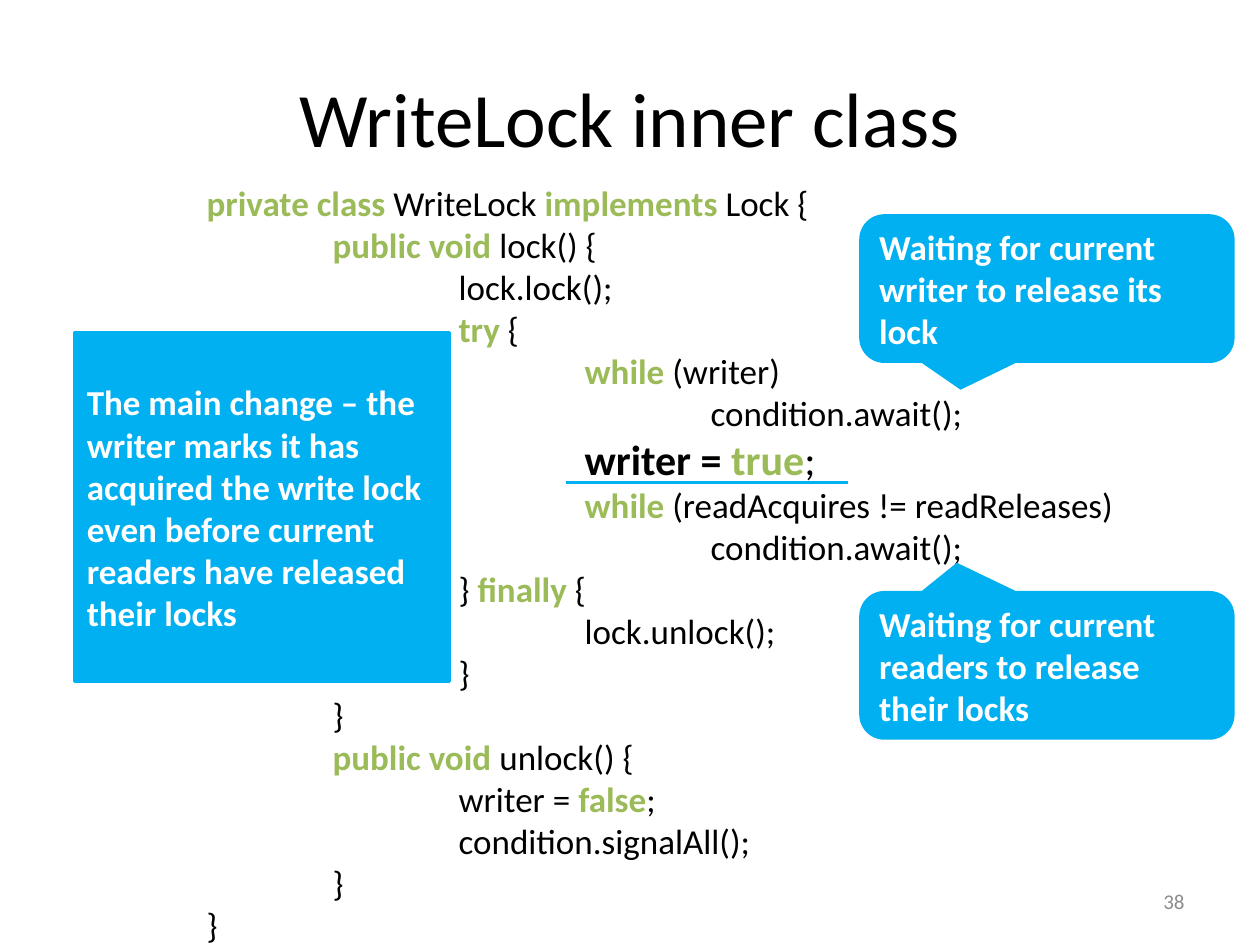
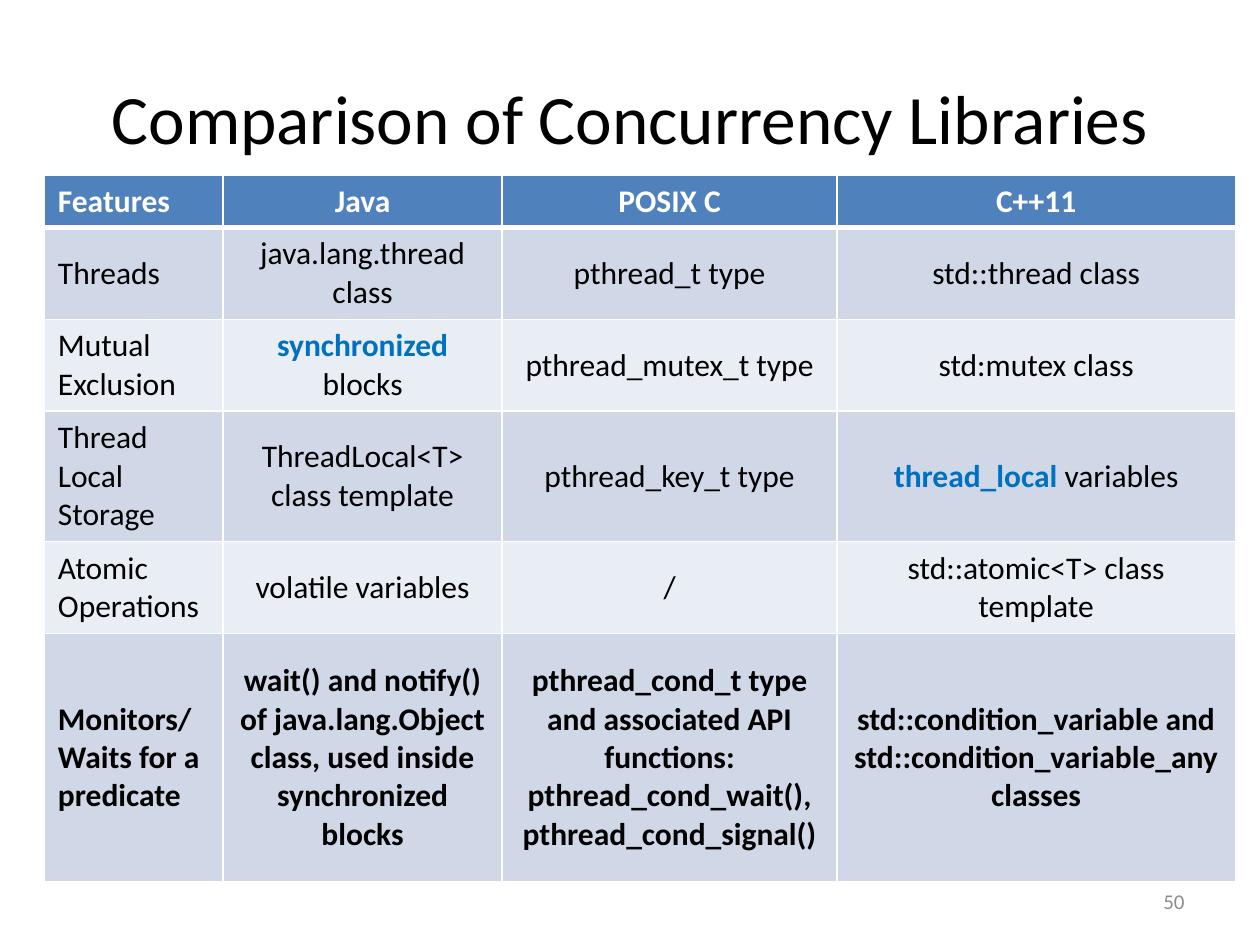
import pptx
import pptx.util
import pptx.dml.color
import pptx.enum.shapes
import pptx.enum.text
import pptx.oxml
import pptx.oxml.ns

Pt = pptx.util.Pt
RGBColor = pptx.dml.color.RGBColor
SHAPE = pptx.enum.shapes.MSO_SHAPE
ALIGN = pptx.enum.text.PP_ALIGN
MIDDLE = pptx.enum.text.MSO_ANCHOR.MIDDLE

FONT = "Calibri"
BLACK = RGBColor(0x00, 0x00, 0x00)
WHITE = RGBColor(0xFF, 0xFF, 0xFF)
GREY = RGBColor(0x8C, 0x8C, 0x8C)
KEYWORD_GREEN = RGBColor(0x9B, 0xBB, 0x59)
KEYWORD_BLUE = RGBColor(0x00, 0x70, 0xC0)
CALLOUT_BLUE = RGBColor(0x00, 0xB0, 0xF0)
HEADER_BLUE = RGBColor(0x4F, 0x81, 0xBD)
BAND_DARK = RGBColor(0xD0, 0xD8, 0xE8)
BAND_LIGHT = RGBColor(0xE9, 0xED, 0xF4)


def write(paragraph, marked, size, color, bold=False, keyword_color=None):
    for position, piece in enumerate(marked.split("*")):
        if piece:
            is_keyword = position % 2 == 1
            run = paragraph.add_run()
            run.text = piece
            run.font.name = FONT
            run.font.size = Pt(size)
            run.font.bold = bold or is_keyword
            run.font.color.rgb = keyword_color if is_keyword else color


def add_titled_slide(title, title_size, number):
    slide = deck.slides.add_slide(deck.slide_layouts[5])
    heading = slide.shapes.title
    heading.left, heading.top, heading.width, heading.height = Pt(36), Pt(21.6), Pt(648), Pt(90)
    heading.text_frame.vertical_anchor = MIDDLE
    heading.text_frame.paragraphs[0].alignment = ALIGN.CENTER
    write(heading.text_frame.paragraphs[0], title, title_size, BLACK)
    page = slide.shapes.add_textbox(Pt(516), Pt(500.5), Pt(168), Pt(28.75)).text_frame
    page.word_wrap = True
    page.vertical_anchor = MIDDLE
    page.paragraphs[0].alignment = ALIGN.RIGHT
    write(page.paragraphs[0], number, 12, GREY)
    return slide


deck = pptx.Presentation()
deck.slide_width = Pt(720)
deck.slide_height = Pt(540)

lock_slide = add_titled_slide("WriteLock inner class", 44, "38")

code_lines = [
    (0, "*private class *WriteLock *implements* Lock {"),
    (1, "*public void* lock() {"),
    (2, "lock.lock();"),
    (2, "*try* {"),
    (3, "*while *(writer)"),
    (4, "condition.await();"),
    (3, "writer = *true*;"),
    (3, "*while* (readAcquires != readReleases)"),
    (4, "condition.await();"),
    (2, "} *finally* {"),
    (3, "lock.unlock();"),
    (2, "}"),
    (1, "}"),
    (1, "*public void* unlock() {"),
    (2, "writer = *false*;"),
    (2, "condition.signalAll();"),
    (1, "}"),
    (0, "}"),
]
MAIN_CHANGE = 6
code = lock_slide.shapes.add_textbox(Pt(111), Pt(100), Pt(595.5), Pt(448.5)).text_frame
code.word_wrap = True
for row, (depth, line) in enumerate(code_lines):
    paragraph = code.paragraphs[0] if row == 0 else code.add_paragraph()
    paragraph._p.get_or_add_pPr().set("marL", str(Pt(72 * depth)))
    write(paragraph, line, 24 if row == MAIN_CHANGE else 20, BLACK, keyword_color=KEYWORD_GREEN)
code.paragraphs[MAIN_CHANGE].runs[0].font.bold = True

callouts = [
    (SHAPE.ROUNDED_RECTANGULAR_CALLOUT, 491, 122.4, 85, (-0.23, 0.68, 0.17),
     "Waiting for current writer to release its lock"),
    (SHAPE.ROUNDED_RECTANGULAR_CALLOUT, 491, 337.7, 85, (-0.24, -0.69, 0.17),
     "Waiting for current readers to release their locks"),
    (SHAPE.LINE_CALLOUT_1, 42.5, 190, 199.5, (0.43, 2.06, 0.43, 1.31),
     "The main change – the writer marks it has acquired the write lock "
     "even before current readers have released their locks"),
]
for outline, left, top, height, adjustments, remark in callouts:
    callout = lock_slide.shapes.add_shape(outline, Pt(left), Pt(top), Pt(214.5), Pt(height))
    for index, value in enumerate(adjustments):
        callout.adjustments[index] = value
    callout.shadow.inherit = False
    callout.fill.solid()
    callout.fill.fore_color.rgb = CALLOUT_BLUE
    if outline == SHAPE.LINE_CALLOUT_1:
        callout.line.color.rgb = CALLOUT_BLUE
        callout.line.width = Pt(2)
    else:
        callout.line.fill.background()
    callout.text_frame.word_wrap = True
    callout.text_frame.vertical_anchor = MIDDLE
    callout.text_frame.paragraphs[0].alignment = ALIGN.LEFT
    write(callout.text_frame.paragraphs[0], remark, 20, WHITE, bold=True)

library_slide = add_titled_slide("Comparison of Concurrency Libraries", 39.6, "50")

features = [
    ("Features", "Java", "POSIX C", "C++11"),
    ("Threads", "java.lang.thread class", "pthread_t type", "std::thread class"),
    ("Mutual Exclusion", "*synchronized *blocks", "pthread_mutex_t type", "std:mutex class"),
    ("Thread Local Storage", "ThreadLocal<T> class template", "pthread_key_t type",
     "*thread_local *variables"),
    ("Atomic Operations", "volatile variables", "/", "std::atomic<T> class template"),
    ("Monitors/Waits for a predicate",
     "wait() and notify() of java.lang.Object class, used inside synchronized blocks",
     "pthread_cond_t type and associated API functions: pthread_cond_wait(), pthread_cond_signal()",
     "std::condition_variable and std::condition_variable_any classes"),
]
column_widths = [102, 159.4, 191.5, 227.5]
row_heights = [30, 52.5, 52.5, 74.5, 52.5, 142]
last_row = len(features) - 1
comparison = library_slide.shapes.add_table(
    len(row_heights), len(column_widths), Pt(25.5), Pt(100),
    Pt(sum(column_widths)), Pt(sum(row_heights))).table
for column, width in zip(comparison.columns, column_widths):
    column.width = Pt(width)
for row, (height, entries) in enumerate(zip(row_heights, features)):
    comparison.rows[row].height = Pt(height)
    for column, entry in enumerate(entries):
        cell = comparison.cell(row, column)
        cell.vertical_anchor = MIDDLE
        cell.margin_left = cell.margin_right = Pt(7.6)
        cell.margin_top = cell.margin_bottom = Pt(3.6)
        cell.fill.solid()
        cell.fill.fore_color.rgb = HEADER_BLUE if row == 0 else (BAND_LIGHT, BAND_DARK)[row % 2]
        paragraph = cell.text_frame.paragraphs[0]
        paragraph.alignment = ALIGN.LEFT if column == 0 else ALIGN.CENTER
        write(paragraph, entry, 18, WHITE if row == 0 else BLACK,
              bold=row in (0, last_row), keyword_color=KEYWORD_BLUE)
        edge_widths = {"lnL": 1, "lnR": 1, "lnT": 3 if row == 1 else 1, "lnB": 3 if row == 0 else 1}
        for order, (edge, width) in enumerate(edge_widths.items()):
            border = pptx.oxml.parse_xml(
                f'<a:{edge} {pptx.oxml.ns.nsdecls("a")} w="{Pt(width)}">'
                f'<a:solidFill><a:srgbClr val="{WHITE}"/></a:solidFill></a:{edge}>')
            cell._tc.get_or_add_tcPr().insert(order, border)

deck.save("out.pptx")
